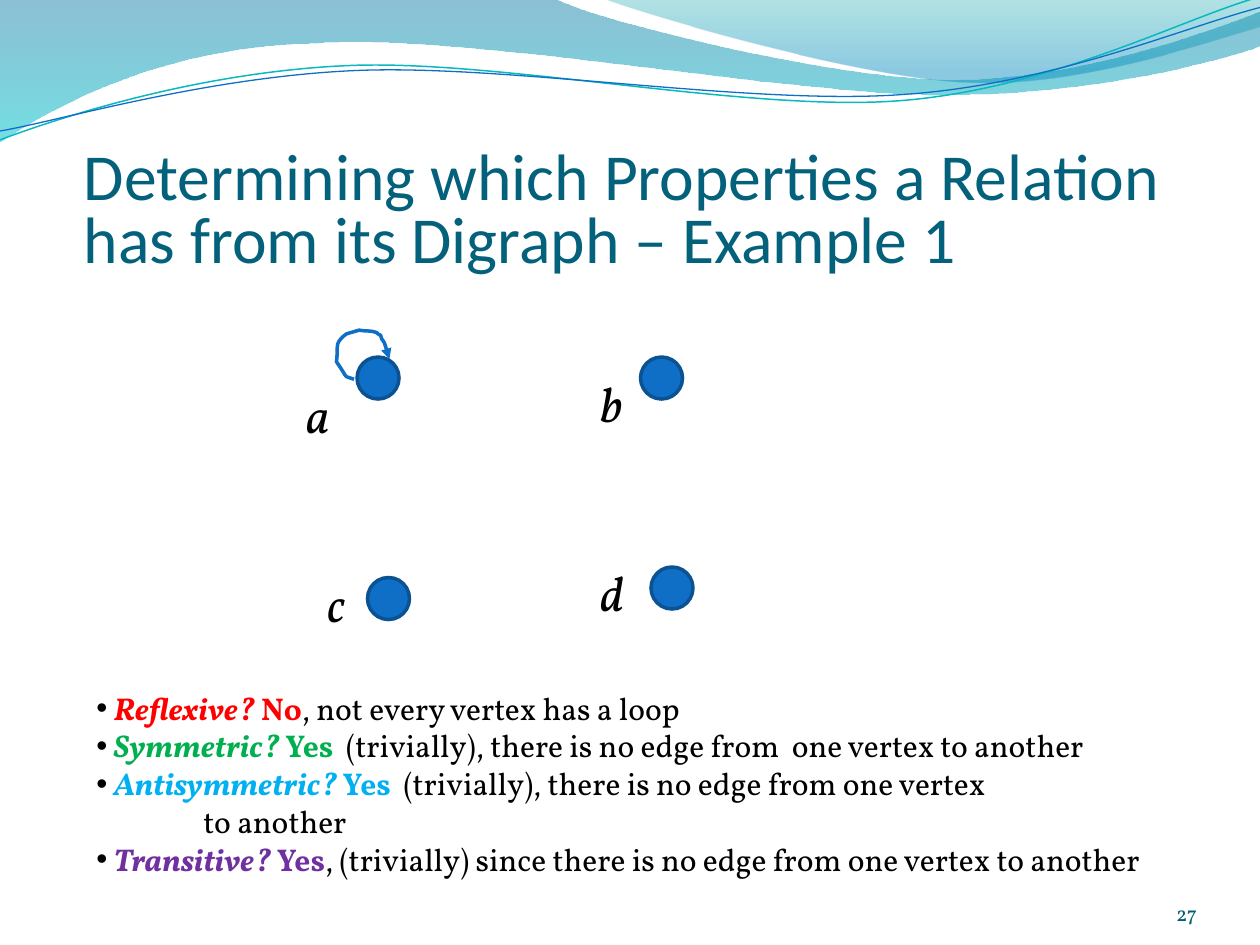
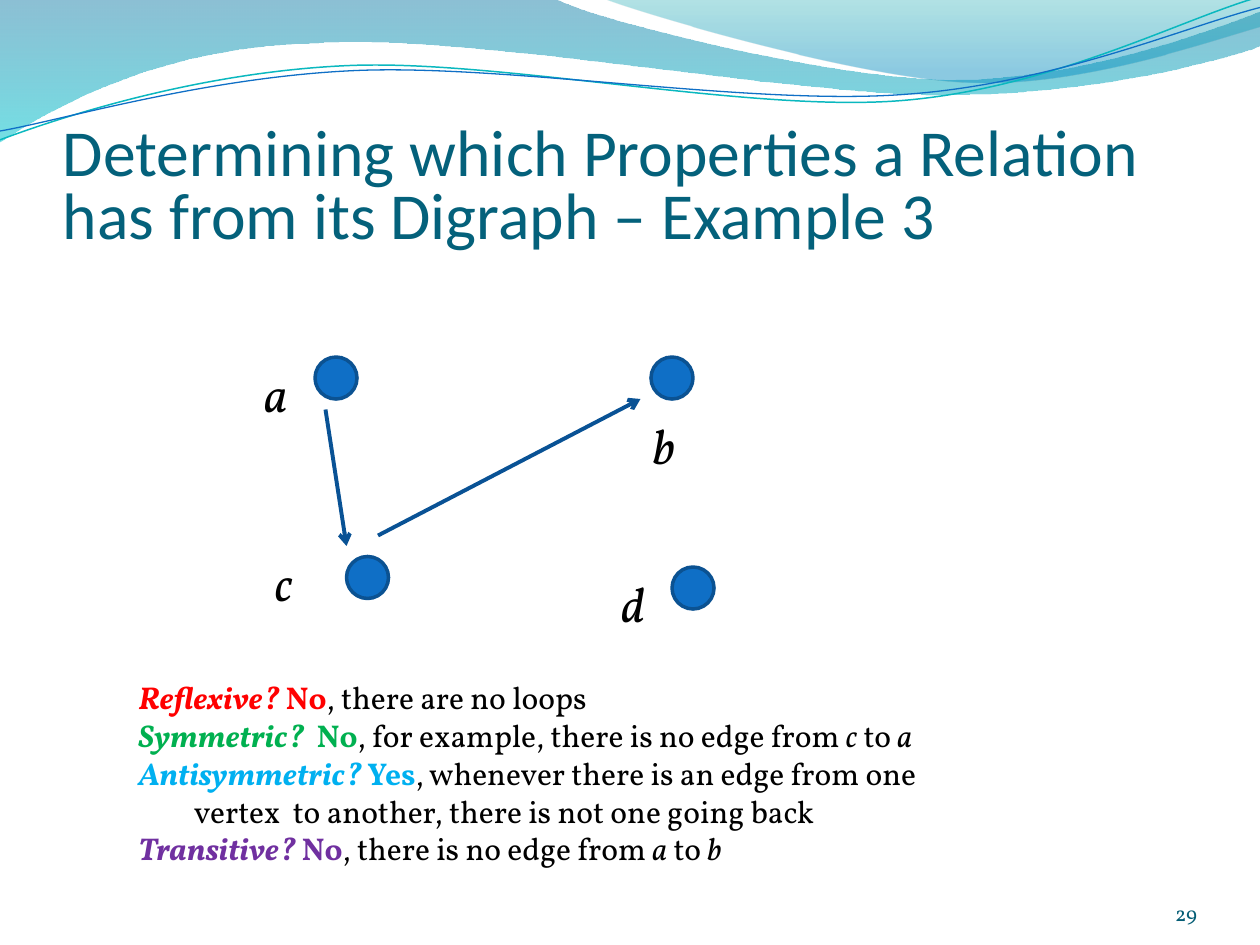
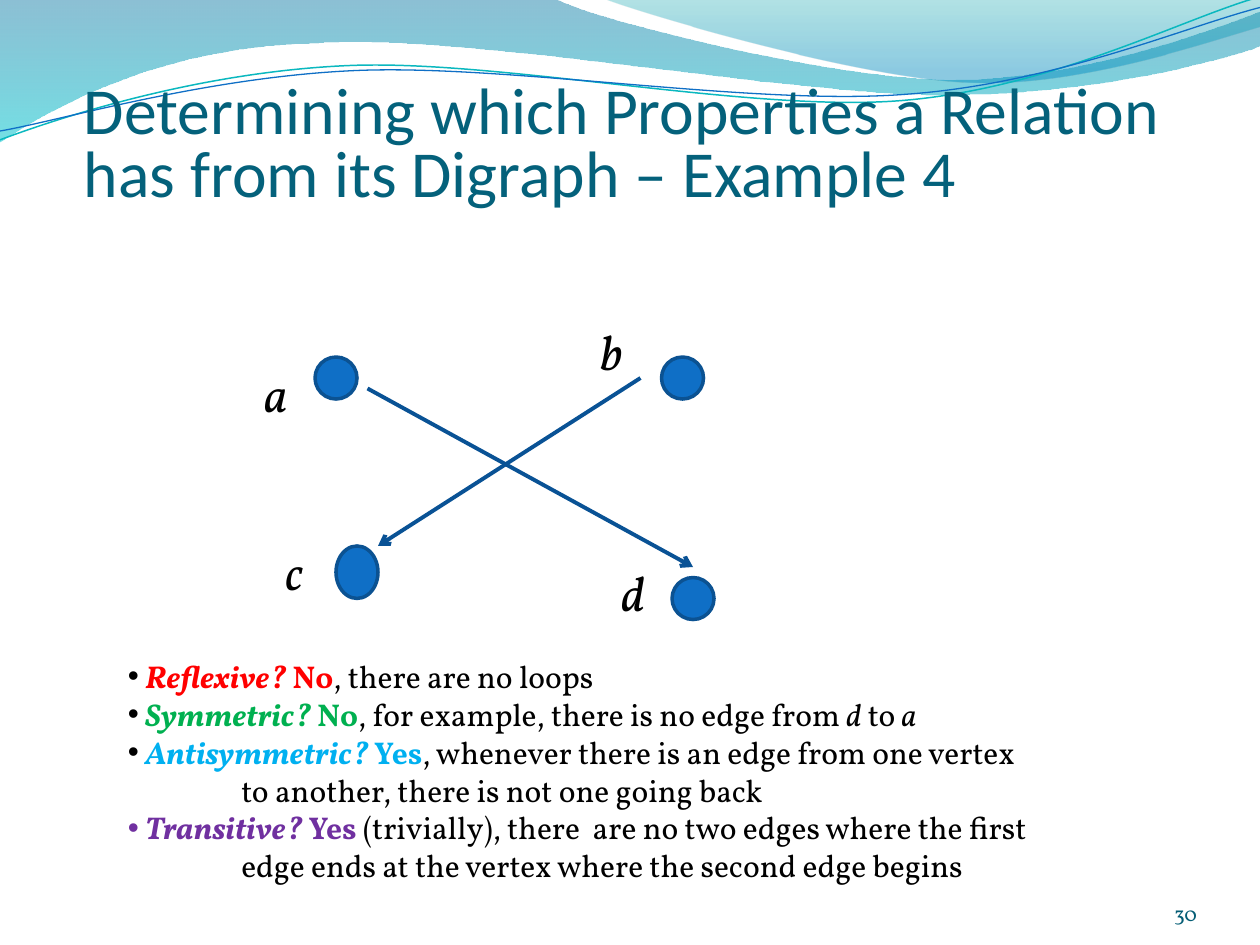
import math

from lxml import etree
from pptx import Presentation
from pptx import util as u
from pptx.dml.color import RGBColor
from pptx.enum import shapes, text
from pptx.oxml import parse_xml
from pptx.oxml.ns import nsdecls, qn

# Colours and fonts
BLACK = RGBColor(0x00, 0x00, 0x00)
RED = RGBColor(0xFF, 0x00, 0x00)
GREEN = RGBColor(0x00, 0xB0, 0x50)
SKY = RGBColor(0x00, 0xB0, 0xF0)
PURPLE = RGBColor(0x70, 0x30, 0xA0)
TITLE_TEAL = RGBColor(0x04, 0x61, 0x7B)
NUMBER_TEAL = RGBColor(0x04, 0x5D, 0x75)
NODE_BLUE = RGBColor(0x0F, 0x6F, 0xC6)
NODE_EDGE = RGBColor(0x0B, 0x52, 0x92)
ARROW_BLUE = RGBColor(0x09, 0x52, 0x95)
WAVE_TEAL = RGBColor(0x0A, 0xB8, 0xBF)
BODY_FONT, TITLE_FONT = "Vollkorn", "Calibri"
TITLE = "Determining which Properties a Relation has from its Digraph – Example "
WAVE_TILT = -2.7

# Outlines in inches: a pair is a straight step, six numbers are a cubic curve
LEFT_WAVE = [(0, 0), (4.4, -0.01), (4.76, 0.17, 6.64, 0.63, 7.58, 0.63),
             (8.53, 0.63, 9.58, 0.26, 10, 0.09), (10.01, 0.36),
             (9.83, 0.44, 8.7, 0.76, 7.46, 0.75), (6.22, 0.75, 3.82, 0.28, 2.57, 0.34),
             (1.29, 0.36, 0.46, 0.83, -0.01, 1.13), (0, 0)]
RIGHT_WAVE = [(4.79, -0.01), (5.09, 0.11, 6.82, 0.62, 7.69, 0.65),
              (8.56, 0.69, 9.61, 0.32, 10, 0.21), (10, 0), (4.79, -0.01)]
TEAL_LINE = [(0, 1.11), (0.48, 0.93, 1.58, 0.57, 2.77, 0.52),
             (3.95, 0.47, 5.93, 0.89, 7.13, 0.8), (8.33, 0.71, 9.38, 0.15, 9.98, -0.02)]
BLUE_LINE = [(0, 1.04), (0.47, 0.96, 1.64, 0.61, 2.83, 0.56),
             (4.03, 0.51, 5.97, 0.84, 7.17, 0.75), (8.36, 0.67, 9.41, 0.21, 10, 0.06)]
LOOP = [(2.81, 3.01), (2.73, 2.98, 2.76, 3.01, 2.71, 2.93), (2.69, 2.9), (2.67, 2.87),
        (2.68, 2.83, 2.67, 2.78, 2.68, 2.73), (2.69, 2.7, 2.72, 2.67, 2.75, 2.65),
        (2.78, 2.64, 2.82, 2.63, 2.85, 2.62), (2.88, 2.63, 2.95, 2.62, 2.99, 2.64),
        (3, 2.65, 3.01, 2.66, 3.02, 2.66), (3.02, 2.67, 3.03, 2.68, 3.03, 2.69),
        (3.04, 2.7, 3.04, 2.71, 3.05, 2.72), (3.06, 2.74, 3.06, 2.76, 3.07, 2.78),
        (3.08, 2.81), (3.09, 2.84, 3.09, 2.83, 3.09, 2.85)]


def grid(*lengths):
    """Snap lengths to the twelfth-inch grid that the diagrams stand on."""
    return [u.Inches(round(length * 12) / 12) for length in lengths]


def turn(point, center, degrees):
    angle = math.radians(degrees)
    x, y = point[0] - center[0], point[1] - center[1]
    return (center[0] + x * math.cos(angle) - y * math.sin(angle),
            center[1] + x * math.sin(angle) + y * math.cos(angle))


def write(paragraph, words, size=18, font=BODY_FONT, color=BLACK, bold=False, italic=False):
    """Add one formatted run."""
    run = paragraph.add_run()
    run.text = words
    run.font.size, run.font.name = u.Pt(size), font
    run.font.bold, run.font.italic = bold, italic
    run.font.color.rgb = color


def add_bullet(paragraph):
    properties = paragraph._p.get_or_add_pPr()
    etree.SubElement(properties, qn("a:buFont"), typeface="Arial")
    etree.SubElement(properties, qn("a:buChar"), char="•")


def add_arrowhead(line, kind):
    etree.SubElement(line._get_or_add_ln(), qn("a:tailEnd"), type=kind)


class Deck:
    """Holds the shared style and the current slide."""

    def __init__(self):
        self.presentation = Presentation()
        self.presentation.slide_width = u.Inches(10)
        self.presentation.slide_height = u.Inches(7.5)
        self.slide = None

    def new_slide(self):
        self.slide = self.presentation.slides.add_slide(self.presentation.slide_layouts[6])
        self.wave(LEFT_WAVE, [(0, "0074A1", 45), (100, "00C6CF", 55)])
        self.wave(RIGHT_WAVE, [(0, "00A1A9", 30), (80, "008BBF", 45)])
        self.curve(TEAL_LINE, WAVE_TEAL, 0.85, tilt=WAVE_TILT, center=(4.99, 0.58))
        self.curve(BLUE_LINE, NODE_BLUE, 0.75, tilt=WAVE_TILT, center=(5, 0.59))

    def outline(self, outline, close=False, tilt=0, center=(0, 0)):
        points = [turn(step[i:i + 2], center, -tilt)
                  for step in outline for i in range(0, len(step), 2)]
        points = [(u.Inches(x), u.Inches(y)) for x, y in points]
        builder = self.slide.shapes.build_freeform(*points[0])
        builder.add_line_segments(points[1:], close=close)
        shape = builder.convert_to_shape()
        # Join each three line steps of a curve into one cubic step
        steps = iter(shape._element.spPr.findall(".//" + qn("a:lnTo")))
        for step in outline[1:]:
            first = next(steps)
            if len(step) == 6:
                first.tag_name = None
                cubic = etree.Element(qn("a:cubicBezTo"))
                first.addprevious(cubic)
                for line_step in (first, next(steps), next(steps)):
                    cubic.append(line_step[0])
                    line_step.getparent().remove(line_step)
        shape.rotation = tilt
        shape.shadow.inherit = False
        shape.fill.background()
        return shape

    def wave(self, outline, stops):
        shape = self.outline(outline, close=True)
        shape.line.fill.background()
        stop_xml = "".join(
            f'<a:gs pos="{position * 1000}"><a:srgbClr val="{color}">'
            f'<a:alpha val="{alpha * 1000}"/></a:srgbClr></a:gs>'
            for position, color, alpha in stops)
        gradient = parse_xml(f'<a:gradFill {nsdecls("a")}><a:gsLst>{stop_xml}</a:gsLst>'
                             '<a:lin ang="5400000" scaled="0"/></a:gradFill>')
        properties = shape._element.spPr
        properties.replace(properties.find(qn("a:noFill")), gradient)

    def curve(self, outline, color, width, **placing):
        shape = self.outline(outline, **placing)
        shape.line.color.rgb, shape.line.width = color, u.Pt(width)
        return shape

    def loop(self, outline):
        add_arrowhead(self.curve(outline, NODE_BLUE, 2).line, "triangle")

    def node(self, left, top, height=0.33):
        shape = self.slide.shapes.add_shape(
            shapes.MSO_SHAPE.OVAL, *grid(left, top, 0.33, height))
        shape.shadow.inherit = False
        shape.fill.solid()
        shape.fill.fore_color.rgb = NODE_BLUE
        shape.line.color.rgb, shape.line.width = NODE_EDGE, u.Pt(2)

    def edge(self, *ends):
        connector = self.slide.shapes.add_connector(
            shapes.MSO_CONNECTOR.STRAIGHT, *grid(*ends))
        connector.line.color.rgb, connector.line.width = ARROW_BLUE, u.Pt(2.25)
        add_arrowhead(connector.line, "arrow")
        etree.SubElement(connector._element.spPr, qn("a:effectLst"))

    def text_frame(self, left, top, width, height):
        box = self.slide.shapes.add_textbox(left, top, width, height)
        box.text_frame.word_wrap = True
        return box.text_frame

    def bottom_text(self, at, words, top_inset=0, **style):
        frame = self.text_frame(*at)
        frame.vertical_anchor = text.MSO_ANCHOR.BOTTOM
        frame.margin_left = frame.margin_right = frame.margin_bottom = 0
        frame.margin_top = u.Inches(top_inset)
        write(frame.paragraphs[0], words, **style)
        return frame.paragraphs[0]

    def title(self, left, top, example):
        at = (*grid(left), u.Inches(top), u.Inches(9), u.Inches(1.25))
        paragraph = self.bottom_text(at, f"{TITLE}{example}", top_inset=0.05,
                                     size=37.5, font=TITLE_FONT, color=TITLE_TEAL)
        paragraph.line_spacing = 0.8

    def number(self, number):
        at = (*grid(8.67), u.Inches(6.95), *grid(0.83), u.Inches(0.4))
        paragraph = self.bottom_text(at, str(number), size=12, color=NUMBER_TEAL)
        paragraph.alignment = text.PP_ALIGN.RIGHT

    def label(self, letter, left, top):
        frame = self.text_frame(*grid(left, top, 0.42), u.Inches(0.57))
        frame.auto_size = text.MSO_AUTO_SIZE.SHAPE_TO_FIT_TEXT
        write(frame.paragraphs[0], letter, size=28, italic=True)

    def properties(self, left, top, width, height, lines, wrap_indent, bullets):
        """Tuples are (question, colour, answer, reason, bullet colour); strings continue them."""
        frame = self.text_frame(*grid(left, top, width), u.Inches(height))
        frame.auto_size = text.MSO_AUTO_SIZE.SHAPE_TO_FIT_TEXT
        for i, line in enumerate(lines):
            paragraph = frame.add_paragraph() if i else frame.paragraphs[0]
            if isinstance(line, str):
                paragraph._p.get_or_add_pPr().set("marL", str(u.Inches(wrap_indent)))
                write(paragraph, line)
                continue
            question, color, answer, reason, *bullet = line
            if bullets:
                add_bullet(paragraph)
                write(paragraph, " ", color=bullet[0] if bullet else BLACK, bold=bool(bullet))
            write(paragraph, question, color=color, bold=True, italic=True)
            write(paragraph, answer, color=color, bold=True)
            # Words between asterisks are vertex names in italics
            for j, part in enumerate(reason.split("*")):
                if part:
                    write(paragraph, part, italic=j % 2 == 1)


EXAMPLES = [
    dict(number=27, example=1, title_at=(0.67, 0.94),
         nodes=[(2.83, 2.83), (5.08, 2.83), (5.17, 4.5), (2.92, 4.58)],
         labels=[("a", 2.33, 3), ("d", 4.67, 4.42), ("c", 2.5, 4.5), ("b", 4.67, 2.92)],
         edges=[], loops=[LOOP],
         text_at=(0.67, 5.42, 8.75, 1.62), wrap_indent=0.85, bullets=True,
         lines=[
             ("Reflexive?", RED, " No", ", not every vertex has a loop"),
             ("Symmetric?", GREEN, " Yes  ",
              "(trivially), there is no edge from  one vertex to another"),
             ("Antisymmetric?", SKY, " Yes",
              "  (trivially), there is no edge from one vertex"),
             "to another",
             ("Transitive?", PURPLE, " Yes",
              ", (trivially) since there is no edge from one vertex to another")]),
    dict(number=29, example=3, title_at=(0.5, 0.75),
         nodes=[(2.5, 2.83), (5.17, 2.83), (5.33, 4.5), (2.75, 4.42)],
         labels=[("a", 2, 2.83), ("d", 4.83, 4.5), ("c", 2.08, 4.33), ("b", 5.08, 3.25)],
         edges=[(2.58, 3.25, 2.75, 4.33), (3, 4.25, 5.08, 3.17)], loops=[],
         text_at=(1, 5.33, 7.25, 1.62), wrap_indent=0.44, bullets=False,
         lines=[
             ("Reflexive?", RED, " No", ", there are no loops"),
             ("Symmetric?", GREEN, "  No",
              ", for example, there is no edge from *c* to *a*"),
             ("Antisymmetric?", SKY, " Yes", ", whenever there is an edge from one"),
             "vertex  to another, there is not one going back",
             ("Transitive? ", PURPLE, "No", ", there is no edge from *a* to *b*")]),
    dict(number=30, example=4, title_at=(0.67, 0.42),
         nodes=[(2.5, 2.83), (5.25, 2.83), (2.67, 4.33, 0.42), (5.33, 4.58)],
         labels=[("a", 2, 2.83), ("d", 4.83, 4.42), ("c", 2.17, 4.25), ("b", 4.67, 2.5)],
         edges=[(2.92, 3.08, 5.5, 4.5), (5.08, 3, 3, 4.33)], loops=[],
         text_at=(0.92, 5.17, 8.17, 1.92), wrap_indent=0.9, bullets=True,
         lines=[
             ("Reflexive?", RED, " No", ", there are no loops"),
             ("Symmetric?", GREEN, " No",
              ", for example, there is no edge from *d* to *a*"),
             ("Antisymmetric?", SKY, " Yes",
              ", whenever there is an edge from one vertex"),
             "to another, there is not one going back",
             ("Transitive? ", PURPLE, "Yes ",
              "(trivially), there  are no two edges where the first", PURPLE),
             "edge ends at the vertex where the second edge begins"]),
]


def main():
    deck = Deck()
    for example in EXAMPLES:
        deck.new_slide()
        # Digraph
        for node in example["nodes"]:
            deck.node(*node)
        for edge in example["edges"]:
            deck.edge(*edge)
        for loop in example["loops"]:
            deck.loop(loop)
        for label in example["labels"]:
            deck.label(*label)
        # Text
        deck.properties(*example["text_at"], example["lines"],
                        example["wrap_indent"], example["bullets"])
        deck.title(*example["title_at"], example["example"])
        deck.number(example["number"])
    deck.presentation.save("out.pptx")


if __name__ == "__main__":
    main()
